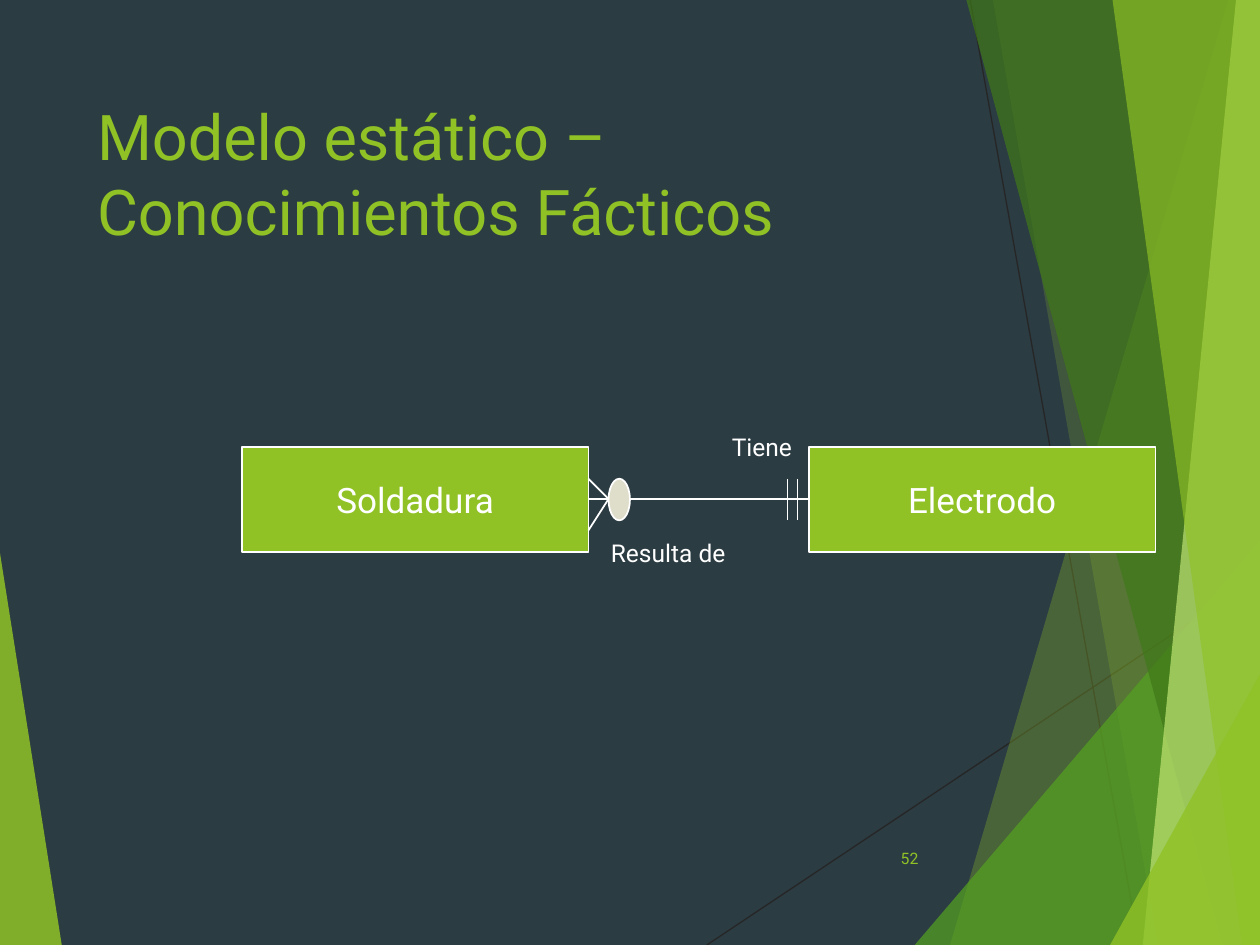
from dataclasses import dataclass

from lxml import etree
from pptx import Presentation
from pptx import util as u
from pptx.dml.color import RGBColor
from pptx.enum import shapes, text
from pptx.oxml.ns import qn


@dataclass(frozen=True)
class Theme:
    font: str = "Roboto"
    back: str = "2C3C43"
    lime: str = "90C226"
    leaf: str = "54A021"
    moss: str = "3F7819"
    pale: str = "C0E474"
    dark: str = "262626"
    sand: str = "DFDECB"
    white: str = "FFFFFF"
    title: int = 36
    entity: int = 20
    label: int = 14
    number: int = 9


class Deck:
    """Holds the theme and the slide being drawn; lengths are in inches."""

    def __init__(self, theme, wide, high):
        self.theme = theme
        self.prs = Presentation()
        self.prs.slide_width = u.Inches(wide)
        self.prs.slide_height = u.Inches(high)
        self.slide = self.prs.slides.add_slide(self.prs.slide_layouts[5])
        self.paint(self.slide.background.fill, theme.back)

    def paint(self, fill, color):
        fill.solid()
        fill.fore_color.rgb = RGBColor.from_string(color)

    def letter(self, frame, words, size, color, align=text.PP_ALIGN.LEFT,
               anchor=text.MSO_ANCHOR.TOP):
        """Sets one styled run in a text frame."""
        frame.word_wrap = True
        frame.auto_size = text.MSO_AUTO_SIZE.NONE
        frame.vertical_anchor = anchor
        para = frame.paragraphs[0]
        para.alignment = align
        run = para.add_run()
        run.text = words
        run.font.name = self.theme.font
        run.font.size = u.Pt(size)
        run.font.color.rgb = RGBColor.from_string(color)

    def title(self, words, *box):
        shape = self.slide.shapes.title
        shape.left, shape.top, shape.width, shape.height = map(u.Inches, box)
        self.letter(shape.text_frame, words, self.theme.title, self.theme.lime)

    def label(self, words, size, color, *box, anchor=text.MSO_ANCHOR.TOP):
        shape = self.slide.shapes.add_textbox(*map(u.Inches, box))
        self.letter(shape.text_frame, words, size, color, anchor=anchor)

    def line(self, color, width, *ends):
        line = self.slide.shapes.add_connector(
            shapes.MSO_CONNECTOR.STRAIGHT, *map(u.Inches, ends))
        line.line.color.rgb = RGBColor.from_string(color)
        line.line.width = u.Pt(width)
        etree.SubElement(line._element.spPr, qn("a:effectLst"))

    def facet(self, color, alpha, points):
        """Draws a borderless polygon; alpha is its opacity in percent."""
        spots = [(u.Inches(x), u.Inches(y)) for x, y in points]
        pen = self.slide.shapes.build_freeform(*spots[0], scale=1.0)
        pen.add_line_segments(spots[1:], close=True)
        shape = pen.convert_to_shape()
        shape.shadow.inherit = False
        shape.line.fill.background()
        self.paint(shape.fill, color)
        tint = shape._element.spPr.find(".//" + qn("a:srgbClr"))
        etree.SubElement(tint, qn("a:alpha"), val=str(alpha * 1000))

    def shape(self, kind, color, *box):
        shape = self.slide.shapes.add_shape(kind, *map(u.Inches, box))
        shape.shadow.inherit = False
        self.paint(shape.fill, color)
        shape.line.color.rgb = RGBColor.from_string(self.theme.white)
        shape.line.width = u.Pt(1)
        return shape

    def entity(self, words, *box):
        shape = self.shape(shapes.MSO_SHAPE.RECTANGLE, self.theme.lime, *box)
        self.letter(shape.text_frame, words, self.theme.entity,
                    self.theme.white, text.PP_ALIGN.CENTER,
                    text.MSO_ANCHOR.MIDDLE)


def backdrop(deck, wide, high):
    theme = deck.theme
    deck.line(theme.dark, 0.75, 5.61, high, wide, 4.57)
    deck.line(theme.dark, 0.75, 7.7, 0, 9.04, high)
    deck.facet(theme.lime, 85, [(0, 4.39), (0.49, high), (0, high)])
    # Each band runs from a top x to a bottom x, then fills to the right edge.
    bands = [
        (theme.lime, 30, (9.75, 0), 7.54),
        (theme.lime, 20, (7.88, 0), 9.19),
        (theme.leaf, 72, (wide, 4.29), 7.26),
        (theme.moss, 70, (7.67, 0), 9.7),
        (theme.pale, 70, (9.81, 0), 9.07),
        (theme.lime, 65, (8.83, 0), 9.86),
        (theme.lime, 80, (wide, 5.35), 8.81),
    ]
    for color, alpha, top, foot in bands:
        points = [top, (foot, high), (wide, high)]
        if top[0] < wide:
            points.append((wide, top[1]))
        deck.facet(color, alpha, points)


def diagram(deck):
    theme = deck.theme
    left, right, top, wide, high = 1.92, 6.42, 3.55, 2.75, 0.83
    edge, mid = left + wide, 3.96
    foot, tick, drop = edge + 0.16, 3.8, 0.33
    deck.entity("Soldadura", left, top, wide, high)
    deck.entity("Electrodo", right, top, wide, high)
    links = [
        (edge, mid, right, mid),
        (edge, tick, foot, mid),
        (foot, mid, edge, mid + 0.25),
    ]
    links += [(x, tick, x, tick + drop) for x in (right - 0.09, right - 0.17)]
    for ends in links:
        deck.line(theme.white, 1, *ends)
    deck.shape(shapes.MSO_SHAPE.OVAL, theme.sand, foot, tick, 0.17, drop)
    deck.label("Resulta de", theme.label, theme.white, 4.75, 4.22, 1.2, 0.34)
    deck.label("Tiene", theme.label, theme.white, 5.71, 3.38, 0.7, 0.34)


def main():
    wide, high = 10, 7.5
    theme = Theme()
    deck = Deck(theme, wide, high)
    backdrop(deck, wide, high)
    deck.title("Modelo estático – Conocimientos Fácticos",
               0.67, 0.72, 6.94, 1.44)
    diagram(deck)
    deck.label("52", theme.number, theme.lime, 7.05, 6.61, 0.56, 0.4,
               anchor=text.MSO_ANCHOR.MIDDLE)
    deck.prs.save("out.pptx")


if __name__ == "__main__":
    main()
